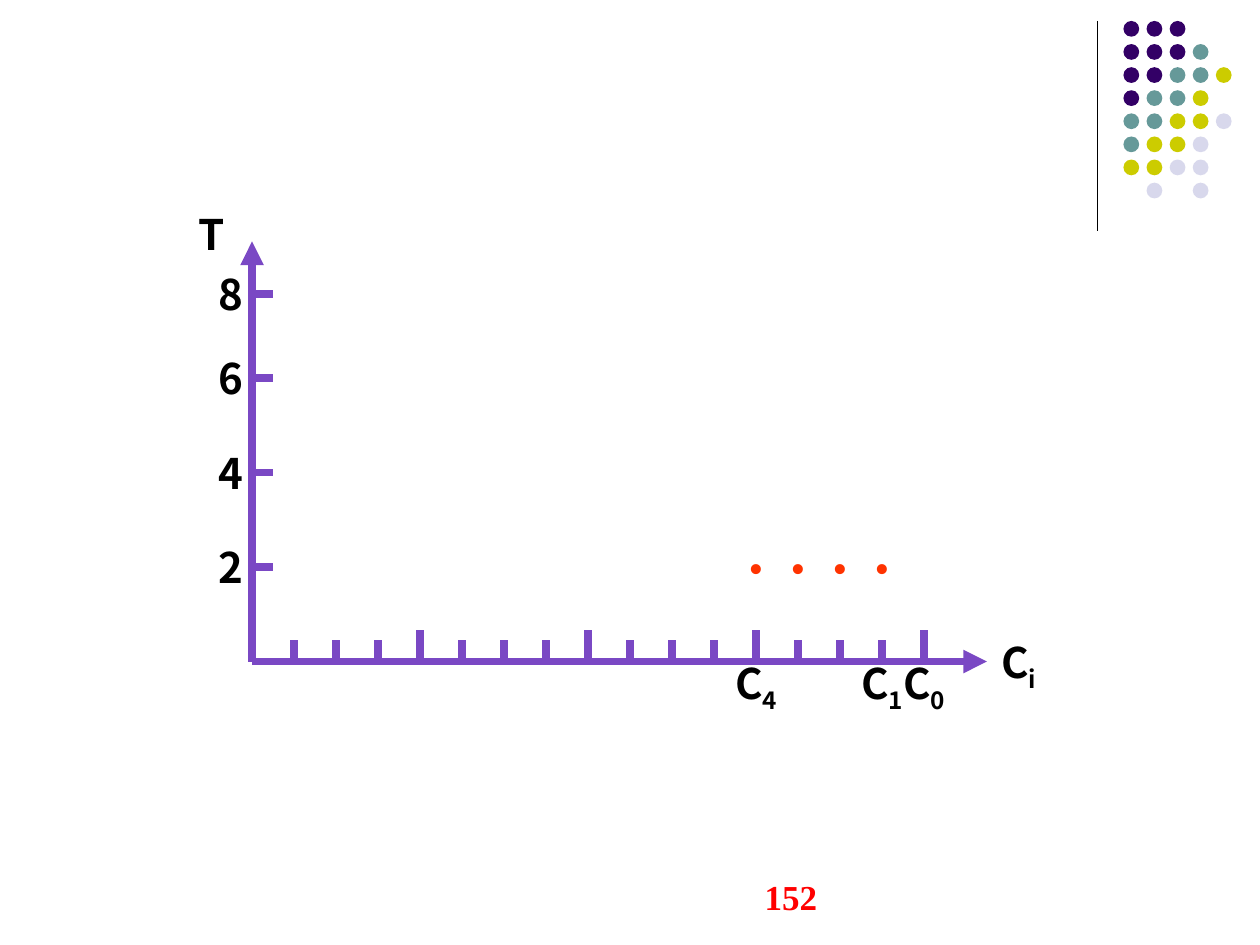
from lxml.etree import SubElement
from pptx import Presentation
from pptx.dml.color import RGBColor
from pptx.enum.shapes import MSO_CONNECTOR, MSO_SHAPE
from pptx.enum.text import MSO_ANCHOR, PP_ALIGN
from pptx.oxml.ns import qn
from pptx.util import Pt

EMU_PER_PX = 7620
BLACK = RGBColor(0x00, 0x00, 0x00)
AXIS_PURPLE = RGBColor(0x7A, 0x48, 0xC4)
POINT_ORANGE = RGBColor(0xFF, 0x33, 0x00)
NUMBER_RED = RGBColor(0xFF, 0x00, 0x00)
DOT_COLORS = {
    "P": RGBColor(0x33, 0x00, 0x66),
    "T": RGBColor(0x66, 0x99, 0x99),
    "Y": RGBColor(0xCC, 0xCC, 0x00),
    "L": RGBColor(0xD8, 0xD8, 0xEC),
}
DOT_ROWS = ["PPP", "PPPT", "PPTTY", "PTTY", "TTYYL", "TYYL", "YYLL", " L L"]
SANS = "Noto Sans CJK SC"
SERIF = "Times New Roman"
ORIGIN_X, ORIGIN_Y = 240, 630
TICK_STEP = 40


def px(length):
    return length * EMU_PER_PX


def add_line(slide, start, end, color=AXIS_PURPLE, width=4.5, arrow=False):
    line = slide.shapes.add_connector(
        MSO_CONNECTOR.STRAIGHT, *map(px, start + end))
    line.line.color.rgb = color
    line.line.width = Pt(width)
    if arrow:
        SubElement(line.line._get_or_add_ln(), qn("a:tailEnd"), type="triangle")
    SubElement(line._element.spPr, qn("a:effectLst"))


def add_dot(slide, left, top, color):
    dot = slide.shapes.add_shape(MSO_SHAPE.OVAL, *map(px, (left, top, 15, 15)))
    dot.shadow.inherit = False
    dot.fill.solid()
    dot.fill.fore_color.rgb = color
    dot.line.fill.background()


def add_label(slide, box, text, subscript="", font=SANS, size=24, color=BLACK,
              bold=True, align=PP_ALIGN.CENTER, anchor=MSO_ANCHOR.TOP):
    frame = slide.shapes.add_textbox(*map(px, box)).text_frame
    frame.word_wrap = True
    frame.vertical_anchor = anchor
    paragraph = frame.paragraphs[0]
    paragraph.text = text
    paragraph.alignment = align
    if subscript:
        lowered = paragraph.add_run()
        lowered.text = subscript
        lowered.font._element.set("baseline", "-25000")
    for run in paragraph.runs:
        run.font.name = font
        run.font.size = Pt(size)
        run.font.bold = bold
        run.font.color.rgb = color


def add_corner_ornament(slide):
    add_line(slide, (1045, 20), (1045, 220), BLACK, 0.75)
    for row, codes in enumerate(DOT_ROWS):
        for column, code in enumerate(codes):
            if code in DOT_COLORS:
                add_dot(slide, 1070 + 22 * column, 20 + 22 * row, DOT_COLORS[code])


def add_carry_axis(slide):
    add_line(slide, (ORIGIN_X, ORIGIN_Y), (940, ORIGIN_Y), arrow=True)
    for tick in range(1, 17):
        x = ORIGIN_X + TICK_STEP * tick
        height = 20 if tick % 4 else 30
        add_line(slide, (x, ORIGIN_Y - height), (x, ORIGIN_Y))
    for carry in (4, 1, 0):
        x = ORIGIN_X + TICK_STEP * (16 - carry)
        add_label(slide, (x - 70, 620, 140, 60), "C", str(carry))
    add_label(slide, (900, 600, 140, 60), "C", "i")


def add_time_axis(slide):
    add_line(slide, (ORIGIN_X, ORIGIN_Y), (ORIGIN_X, 230), arrow=True)
    add_label(slide, (167, 193, 70, 60), "T")
    for time, y in ((2, 540), (4, 450), (6, 360), (8, 280)):
        add_line(slide, (ORIGIN_X, y), (ORIGIN_X + 20, y))
        add_label(slide, (190, y - 30, 60, 60), str(time))


def add_points(slide):
    for carry in range(4, 0, -1):
        x = ORIGIN_X + TICK_STEP * (16 - carry)
        add_label(slide, (x - 50, 510, 100, 60), "•", font=SERIF,
                  color=POINT_ORANGE, bold=False)


def main():
    deck = Presentation()
    deck.slide_width, deck.slide_height = px(1200), px(900)
    slide = deck.slides.add_slide(deck.slide_layouts[6])
    add_corner_ornament(slide)
    add_points(slide)
    add_carry_axis(slide)
    add_time_axis(slide)
    add_label(slide, (410, 820, 380, 60), "152", font=SERIF, size=20,
              color=NUMBER_RED, align=PP_ALIGN.RIGHT, anchor=MSO_ANCHOR.BOTTOM)
    deck.save("out.pptx")


if __name__ == "__main__":
    main()
